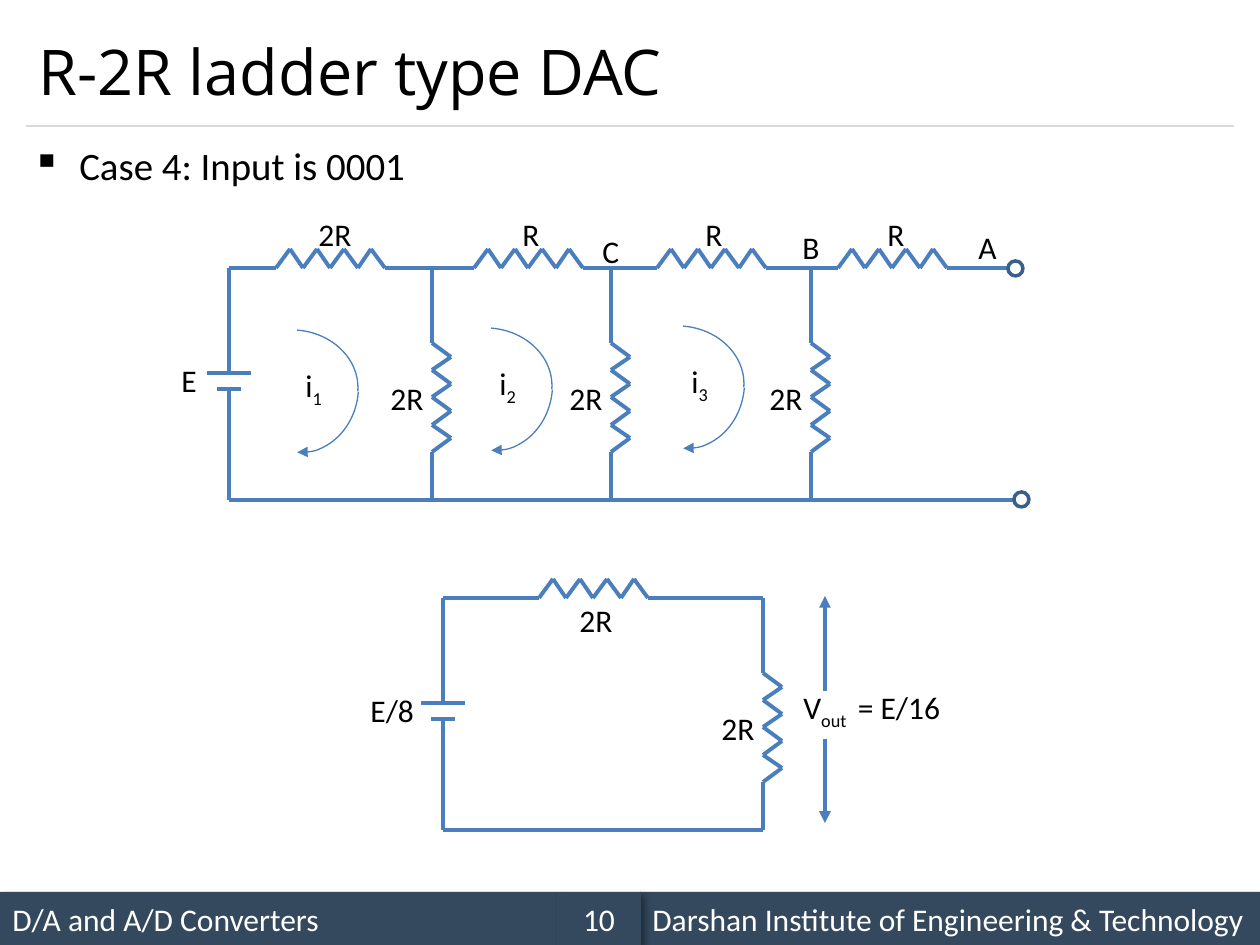
from dataclasses import dataclass

from lxml import etree
from pptx import Presentation
from pptx.dml.color import RGBColor
from pptx.enum.shapes import MSO_CONNECTOR, MSO_SHAPE
from pptx.enum.text import MSO_ANCHOR, MSO_AUTO_SIZE, PP_ALIGN
from pptx.oxml import parse_xml
from pptx.oxml.ns import nsdecls, qn
from pptx.util import Emu, Pt

STRAIGHT = MSO_CONNECTOR.STRAIGHT
RECTANGLE, OVAL, ARC = MSO_SHAPE.RECTANGLE, MSO_SHAPE.OVAL, MSO_SHAPE.ARC
MIDDLE = MSO_ANCHOR.MIDDLE
NO_AUTOSIZE = MSO_AUTO_SIZE.NONE
LEFT, CENTER = PP_ALIGN.LEFT, PP_ALIGN.CENTER

PIXELS_PER_INCH = 126
SLIDE_WIDTH, SLIDE_HEIGHT = 1260, 945


@dataclass(frozen=True)
class Theme:
    black: RGBColor = RGBColor(0x00, 0x00, 0x00)
    white: RGBColor = RGBColor(0xFF, 0xFF, 0xFF)
    footer: RGBColor = RGBColor(0x34, 0x49, 0x5E)
    divider: RGBColor = RGBColor(0xD9, 0xD9, 0xD9)
    wire: RGBColor = RGBColor(0x4B, 0x7E, 0xBC)
    terminal: RGBColor = RGBColor(0x3A, 0x5F, 0x8C)
    title_font: str = "Open Sans"
    body_font: str = "Calibri"
    title_size: float = 36
    body_size: float = 22.2
    label_size: float = 18
    wire_width: float = 2.25
    terminal_width: float = 2
    thin_width: float = 0.75


THEME = Theme()

CIRCUIT_HEIGHT = 232
ZIGZAG_LENGTH, ZIGZAG_DEPTH, ZIGZAG_SEGMENTS = 109, 19, 8
LABEL_HEIGHT = 50
RESISTOR_LABEL_WIDTH = 79
TERMINAL_SIZE = 15


def px(*lengths):
    """Turn pixel lengths into a list of EMU lengths."""
    return [Emu(round(length * 914400 / PIXELS_PER_INCH)) for length in lengths]


def format_font(font, **values):
    defaults = {"name": THEME.body_font, "size": Pt(THEME.label_size)}
    color = values.pop("color", THEME.black)
    for name, value in {**defaults, **values}.items():
        setattr(font, name, value)
    font.color.rgb = color


def add_line(shapes, start, end, color=THEME.wire, width=THEME.wire_width, arrow=False):
    line = shapes.add_connector(STRAIGHT, *px(*start, *end))
    line.line.color.rgb = color
    line.line.width = Pt(width)
    if arrow:
        add_arrowhead(line)
    etree.SubElement(line._element.spPr, qn("a:effectLst"))
    return line


def add_arrowhead(shape):
    shape.line._get_or_add_ln().append(
        parse_xml(f'<a:tailEnd {nsdecls("a")} type="triangle"/>'))


def add_label(shapes, left, top, width, text, subscript="", rest=""):
    box = shapes.add_textbox(*px(left, top, width, LABEL_HEIGHT))
    box.text_frame.word_wrap = True
    paragraph = box.text_frame.paragraphs[0]
    for part in filter(None, (text, subscript, rest)):
        run = paragraph.add_run()
        run.text = part
        format_font(run.font)
        if part == subscript:
            run.font._element.set("baseline", "-25000")


def add_resistor(shapes, start, end, zigzag_offset, vertical=False):
    """Draw two leads and a zigzag along one axis from start to end."""
    group = shapes.add_group_shape().shapes
    length = end[1] - start[1] if vertical else end[0] - start[0]

    def place(along, across):
        if vertical:
            return start[0] + across, start[1] + along
        return start[0] + along, start[1] - across

    zigzag = [place(zigzag_offset + round(ZIGZAG_LENGTH * step / ZIGZAG_SEGMENTS),
                    ZIGZAG_DEPTH * (step % 2))
              for step in range(ZIGZAG_SEGMENTS + 1)]
    points = [start, *zigzag, place(length, 0)]
    for first, second in zip(points, points[1:]):
        add_line(group, first, second)


def add_shunt(shapes, x, top):
    add_resistor(shapes, (x, top), (x, top + CIRCUIT_HEIGHT), 75, vertical=True)
    add_label(shapes, x - 54, top + 105, RESISTOR_LABEL_WIDTH, "2R")


def add_battery(shapes, x, top, label, label_width):
    upper, lower = top + 105, top + 121
    add_line(shapes, (x, top), (x, upper))
    add_line(shapes, (x, lower), (x, top + CIRCUIT_HEIGHT))
    for plate, half_width in ((upper, 22), (lower, 12)):
        add_line(shapes, (x - half_width, plate), (x + half_width, plate))
    add_label(shapes, x - label_width - 1, top + 87, label_width, label)


def add_loop_current(shapes, left, top, number):
    group = shapes.add_group_shape().shapes
    for shift, rotation in (((0, 0), 4.2), ((9, 1), 94.2)):
        arc = group.add_shape(ARC, *px(left + shift[0], top + shift[1], 130, 113))
        arc.rotation = rotation
        arc.shadow.inherit = False
        arc.fill.background()
        arc.line.color.rgb = THEME.wire
        arc.line.width = Pt(THEME.thin_width)
    add_arrowhead(arc)
    add_label(shapes, left + 65, top + 30, 59, "i", number)


def add_terminal(shapes, left, middle):
    terminal = shapes.add_shape(
        OVAL, *px(left, middle - TERMINAL_SIZE // 2, TERMINAL_SIZE, TERMINAL_SIZE))
    terminal.shadow.inherit = False
    terminal.fill.background()
    terminal.line.color.rgb = THEME.terminal
    terminal.line.width = Pt(THEME.terminal_width)


def add_ladder(shapes, left, top):
    nodes = [left + offset for offset in (0, 203, 382, 582, 778)]
    series = (("2R", 47, 30), ("R", 42, 36), ("R", 46, 36), ("R", 27, 37))
    for start, end, (name, offset, label_shift) in zip(nodes, nodes[1:], series):
        add_resistor(shapes, (start, top), (end, top), offset)
        add_label(shapes, start + offset + label_shift, top - 59,
                  RESISTOR_LABEL_WIDTH, name)
    for node in nodes[1:-1]:
        add_shunt(shapes, node, top)
    add_battery(shapes, left, top, "E", 59)
    bottom = top + CIRCUIT_HEIGHT
    add_line(shapes, (left, bottom), (left + 785, bottom))
    add_terminal(shapes, left + 779, top)
    add_terminal(shapes, left + 785, bottom - 1)
    for name, x, y in (("C", 361, -42), ("B", 561, -46), ("A", 737, -46)):
        add_label(shapes, left + x, top + y, 42, name)
    for number, x, y in (("1", -1, 62), ("2", 193, 60), ("3", 385, 58)):
        add_loop_current(shapes, left + x, top + y, number)


def add_equivalent_circuit(shapes, left, top):
    right, bottom = left + 320, top + CIRCUIT_HEIGHT
    add_resistor(shapes, (left, top), (right, top), 96)
    add_label(shapes, left + 124, top - 3, RESISTOR_LABEL_WIDTH, "2R")
    add_shunt(shapes, right, top)
    add_battery(shapes, left, top, "E/8", 84)
    add_line(shapes, (left, bottom), (right, bottom))
    for start, end in ((141, 225), (93, -2)):
        add_line(shapes, (left + 382, top + start), (left + 382, top + end), arrow=True)
    add_label(shapes, left + 348, top + 84, 175, "V", "out ", " = E/16")


def add_title(slide, left, top, width, height):
    title = slide.shapes.title
    title.left, title.top, title.width, title.height = px(left, top, width, height)
    frame = title.text_frame
    frame.text = "R-2R ladder type DAC"
    frame.vertical_anchor = MIDDLE
    frame.auto_size = NO_AUTOSIZE
    paragraph = frame.paragraphs[0]
    paragraph.alignment = LEFT
    format_font(paragraph.runs[0].font, name=THEME.title_font, size=Pt(THEME.title_size))
    divider = top + height
    add_line(slide.shapes, (left, divider), (left + width, divider),
             THEME.divider, THEME.thin_width)


def add_case_heading(shapes, left, top, width, height):
    box = shapes.add_textbox(*px(left, top, width, height))
    box.text_frame.word_wrap = True
    paragraph = box.text_frame.paragraphs[0]
    paragraph.text = "Case 4: Input is 0001"
    properties = paragraph._p.get_or_add_pPr()
    indent = px(47)[0]
    properties.set("marL", str(indent))
    properties.set("indent", str(-indent))
    properties.append(parse_xml(f'<a:buChar {nsdecls("a")} char="▪"/>'))
    paragraph.line_spacing = 1.04
    format_font(paragraph.runs[0].font, size=Pt(THEME.body_size))


def add_footer(shapes, top, height):
    cells = (("D/A and A/D Converters", 0, 557, LEFT),
             ("Darshan Institute of Engineering & Technology", 640, 620, LEFT),
             ("10", 557, 84, CENTER))
    for text, left, width, alignment in cells:
        cell = shapes.add_shape(RECTANGLE, *px(left, top, width, height))
        cell.fill.solid()
        cell.fill.fore_color.rgb = THEME.footer
        cell.line.fill.background()
        cell._element.spPr.append(parse_xml(
            f'<a:effectLst {nsdecls("a")}><a:outerShdw blurRad="50800" dist="38100" '
            'dir="2700000" algn="tl" rotWithShape="0"><a:srgbClr val="000000">'
            '<a:alpha val="40000"/></a:srgbClr></a:outerShdw></a:effectLst>'))
        cell.text_frame.text = text
        cell.text_frame.vertical_anchor = MIDDLE
        paragraph = cell.text_frame.paragraphs[0]
        paragraph.alignment = alignment
        format_font(paragraph.runs[0].font, color=THEME.white)


def main():
    presentation = Presentation()
    presentation.slide_width, presentation.slide_height = px(SLIDE_WIDTH, SLIDE_HEIGHT)
    slide = presentation.slides.add_slide(presentation.slide_layouts[5])
    add_footer(slide.shapes, 892, 53)
    add_title(slide, 26, 15, 1208, 111)
    add_case_heading(slide.shapes, 20, 134, 1207, 63)
    add_ladder(slide.shapes, 229, 268)
    add_equivalent_circuit(slide.shapes, 443, 598)
    presentation.save("out.pptx")


if __name__ == "__main__":
    main()
